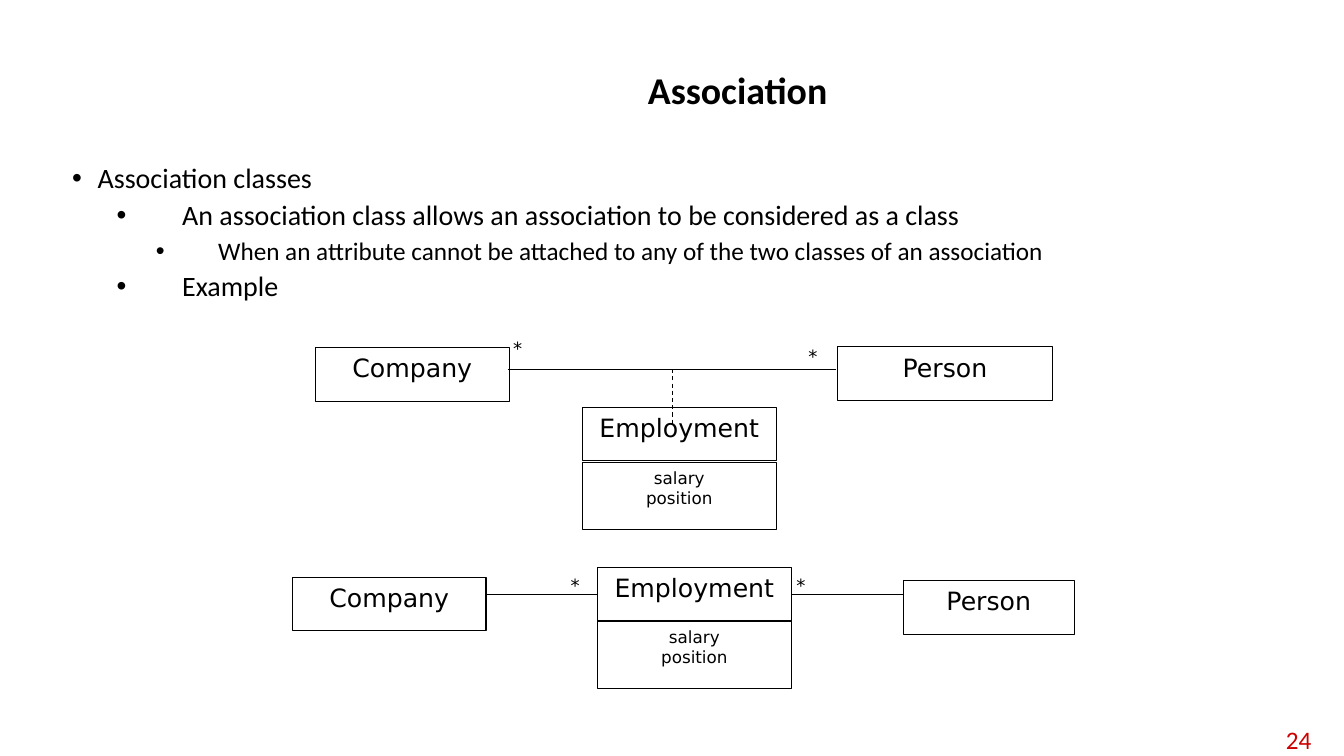
"""Build the slide on UML association classes."""
from dataclasses import dataclass

from lxml import etree
from pptx import Presentation
from pptx.dml.color import RGBColor
from pptx.enum.dml import MSO_LINE
from pptx.enum.shapes import MSO_CONNECTOR, MSO_SHAPE
from pptx.enum.text import MSO_ANCHOR, MSO_AUTO_SIZE, PP_ALIGN
from pptx.oxml.ns import qn
from pptx.util import Cm, Pt

LEFT, CENTER, RIGHT = PP_ALIGN.LEFT, PP_ALIGN.CENTER, PP_ALIGN.RIGHT
TOP, MIDDLE = MSO_ANCHOR.TOP, MSO_ANCHOR.MIDDLE
NO_FIT = MSO_AUTO_SIZE.NONE
RECTANGLE, STRAIGHT = MSO_SHAPE.RECTANGLE, MSO_CONNECTOR.STRAIGHT
DASH = MSO_LINE.DASH


@dataclass(frozen=True)
class Theme:
    ink: RGBColor = RGBColor(0x00, 0x00, 0x00)
    accent: RGBColor = RGBColor(0xCC, 0x00, 0x00)
    text_font: str = "Calibri"
    diagram_font: str = "DejaVu Sans"
    title: Pt = Pt(27)
    body: Pt = Pt(20)
    detail: Pt = Pt(18)
    number: Pt = Pt(18)
    class_name: Pt = Pt(18)
    attribute: Pt = Pt(12)
    star: Pt = Pt(13)
    outline: Pt = Pt(0.75)


theme = Theme()


def write(para, text, *, size, font=theme.text_font, color=theme.ink, bold=False,
          align=LEFT, spacing=1.0, before=0, indent=None):
    para.alignment, para.line_spacing, para.space_before = align, spacing, Pt(before)
    if indent:
        margin, hanging = indent
        properties = para._p.get_or_add_pPr()
        properties.set("marL", str(Cm(margin)))
        properties.set("indent", str(-Cm(hanging)))
        etree.SubElement(properties, qn("a:buFont")).set("typeface", "Arial")
        etree.SubElement(properties, qn("a:buChar")).set("char", "•")
    span = para.add_run()
    span.text = text
    span.font.name, span.font.size, span.font.bold = font, size, bold
    span.font.color.rgb = color


def prepare(shape, anchor=TOP, inset=None):
    frame = shape.text_frame
    frame.word_wrap, frame.auto_size, frame.vertical_anchor = True, NO_FIT, anchor
    if inset is not None:
        frame.margin_left = frame.margin_right = Cm(inset)
        frame.margin_top = frame.margin_bottom = Cm(inset)
    return frame


deck = Presentation()
deck.slide_width, deck.slide_height = Cm(33.87), Cm(19.05)
page = deck.slides.add_slide(deck.slide_layouts[5])

title = page.shapes.title
title.left, title.top, title.width, title.height = Cm(5.66), Cm(1.02), Cm(25.86), Cm(2.59)
write(prepare(title, MIDDLE).paragraphs[0], "Association", size=theme.title,
      bold=True, align=CENTER, spacing=0.9)

number = page.shapes.add_textbox(Cm(31.55), Cm(18.19), Cm(1.75), Cm(0.91))
write(prepare(number, MIDDLE).paragraphs[0], "24", size=theme.number,
      color=theme.accent, align=RIGHT)

levels = [(0.64, 0.64), (2.77, 1.65), (3.68, 1.57)]
sizes = [theme.body, theme.body, theme.detail]
points = [
    (0, "Association classes"),
    (1, "An association class allows an association to be considered as a class"),
    (2, "When an attribute cannot be attached to any of the two classes of an association"),
    (1, "Example"),
]
body = page.shapes.add_textbox(Cm(1.57), Cm(4.01), Cm(29.97), Cm(4.1))
frame = prepare(body)
for index, (level, text) in enumerate(points):
    para = frame.add_paragraph() if index else frame.paragraphs[0]
    para.level = level
    write(para, text, size=sizes[level], spacing=0.9, before=5 if index else 0,
          indent=levels[level])

name_height, attributes_height, box_width = 1.35, 1.68, 4.88
attributes = ["salary", "position"]
boxes = [
    (7.95, 8.76, box_width, ["Company"]),
    (21.11, 8.74, 5.41, ["Person"]),
    (14.68, 10.26, box_width, ["Employment"]),
    (14.68, 11.66, box_width, attributes),
    (7.37, 14.55, box_width, ["Company"]),
    (22.76, 14.63, 4.32, ["Person"]),
    (15.06, 14.3, box_width, ["Employment"]),
    (15.06, 15.67, box_width, attributes),
]
for left, top, width, lines in boxes:
    is_name = lines is not attributes
    height = name_height if is_name else attributes_height
    box = page.shapes.add_shape(RECTANGLE, Cm(left), Cm(top), Cm(width), Cm(height))
    box.shadow.inherit = False
    box.fill.background()
    box.line.color.rgb, box.line.width = theme.ink, theme.outline
    frame = prepare(box, inset=0.13)
    for index, text in enumerate(lines):
        para = frame.add_paragraph() if index else frame.paragraphs[0]
        write(para, text, font=theme.diagram_font, align=CENTER,
              size=theme.class_name if is_name else theme.attribute)

for left, top in [(12.8, 8.36), (20.24, 8.56), (14.25, 14.33), (19.94, 14.33)]:
    star = page.shapes.add_textbox(Cm(left), Cm(top), Cm(0.56), Cm(1.07))
    write(prepare(star, inset=0.13).paragraphs[0], "*", size=theme.star,
          font=theme.diagram_font)

links = [
    (12.8, 9.3, 21.06, 9.3, None),
    (16.94, 9.3, 16.94, 10.69, DASH),
    (19.94, 14.99, 22.76, 14.99, None),
    (15.06, 14.99, 12.24, 14.99, None),
]
for *ends, dash in links:
    link = page.shapes.add_connector(STRAIGHT, *map(Cm, ends))
    link.line.color.rgb, link.line.width = theme.ink, theme.outline
    if dash:
        link.line.dash_style = dash
    etree.SubElement(link._element.spPr, qn("a:effectLst"))

deck.save("out.pptx")
